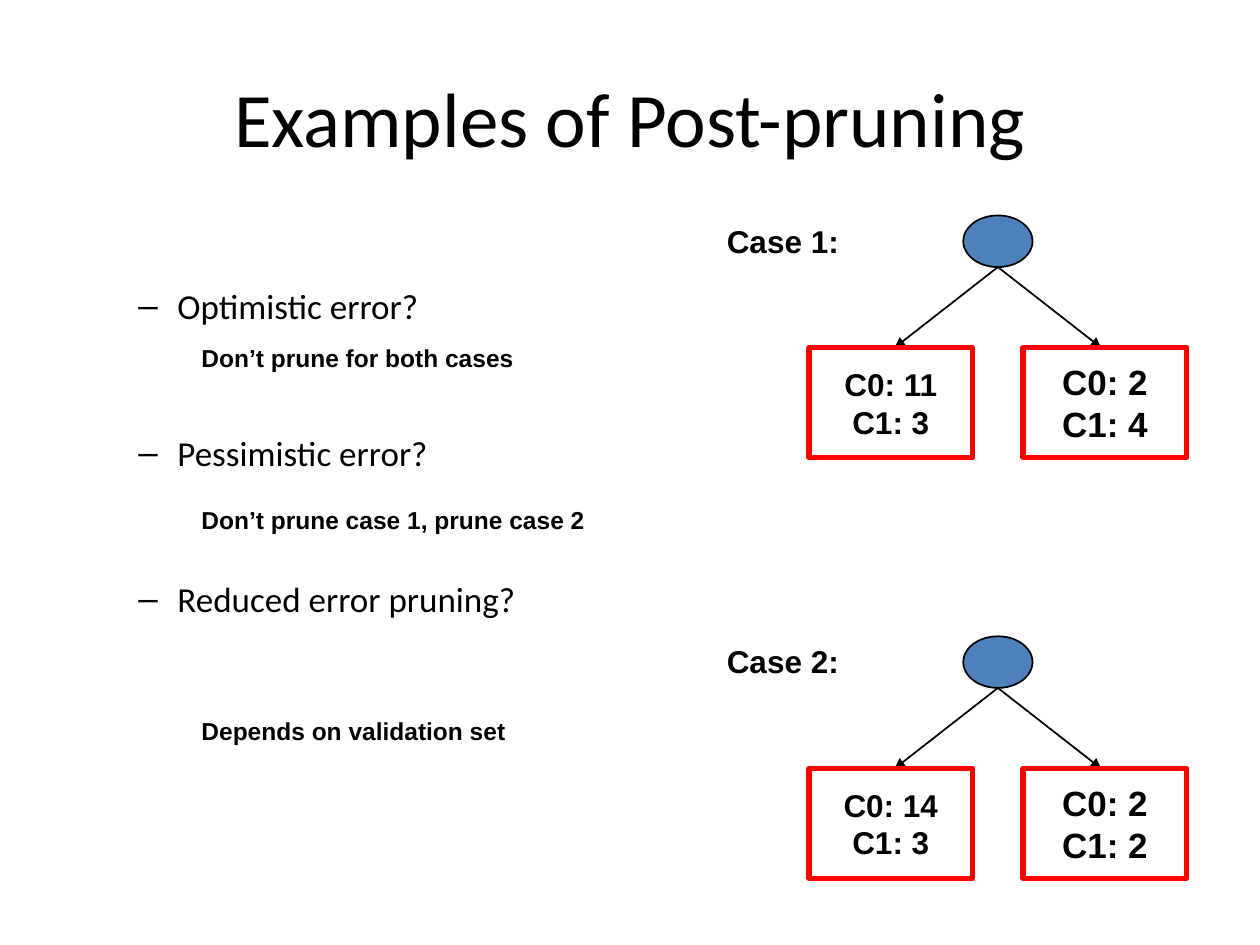
import pptx
import pptx.util
import pptx.dml.color
import pptx.enum.shapes
import pptx.enum.text
import pptx.oxml.ns
from lxml import etree

Inches, Pt = pptx.util.Inches, pptx.util.Pt
RGB = pptx.dml.color.RGBColor.from_string
SHAPE = pptx.enum.shapes.MSO_SHAPE
ALIGN = pptx.enum.text.PP_ALIGN
ANCHOR = pptx.enum.text.MSO_ANCHOR
qn = pptx.oxml.ns.qn

TITLE = "Examples of Post-pruning"
QUESTIONS = ["Optimistic error?", "Pessimistic error?", "Reduced error pruning?"]
ANSWERS = [  # text, top, width
    ("Don’t prune for both cases", 2.67, 3.08),
    ("Don’t prune case 1, prune case 2", 3.96, 3.58),
    ("Depends on validation set", 5.63, 3.58),
]
CASES = [  # label, left leaf, right leaf
    ("Case 1:", ["C0: 11", "C1: 3"], ["C0: 2", "C1: 4"]),
    ("Case 2:", ["C0: 14", "C1: 3"], ["C0: 2", "C1: 2"]),
]

THEME = {
    "text": "000000", "line": "000000", "node": "4F81BD", "leaf": "FF0000",
    "title": {"name": "Calibri", "size": Pt(44)},
    "question": {"name": "Calibri", "size": Pt(20)},
    "answer": {"name": "Arial", "size": Pt(14), "bold": True},
    "case": {"name": "Arial", "size": Pt(18), "bold": True},
    "leaf_left": {"name": "Arial", "size": Pt(18), "bold": True},
    "leaf_right": {"name": "Arial", "size": Pt(20), "bold": True},
}

CASE_TOP, CASE_STEP = 1.71, 3.34
NODE_W, NODE_H = 0.55, 0.41
LEAF_W, LEAF_H, LEAF_DROP = 1.3, 0.87, 1.05
ROOT_X = 7.92
ARROW_SPREAD = 0.82
LEAF_LEFTS = (6.42, 8.12)
QUESTION_GAP = Pt(59.6)


def write(tf, lines, style, align=ALIGN.LEFT):
    for i, line in enumerate(lines):
        p = tf.paragraphs[0] if i == 0 else tf.add_paragraph()
        p.alignment = align
        r = p.add_run()
        r.text = line
        for key, value in THEME[style].items():
            setattr(r.font, key, value)
        r.font.color.rgb = RGB(THEME["text"])


def add_text(slide, box, lines, style, **kwargs):
    tf = slide.shapes.add_textbox(*map(Inches, box)).text_frame
    tf.word_wrap = True
    write(tf, lines, style, **kwargs)
    return tf


def add_outlined(shapes, kind, box, line, width, fill=None):
    s = shapes.add_shape(kind, *map(Inches, box))
    s.shadow.inherit = False
    if fill:
        s.fill.solid()
        s.fill.fore_color.rgb = RGB(fill)
    else:
        s.fill.background()
    s.line.color.rgb = RGB(line)
    s.line.width = Pt(width)
    return s


def add_arrow(shapes, x1, y1, x2, y2):
    c = shapes.add_connector(pptx.enum.shapes.MSO_CONNECTOR.STRAIGHT,
                             *map(Inches, (x1, y1, x2, y2)))
    c.line.color.rgb = RGB(THEME["line"])
    c.line.width = Pt(1)
    etree.SubElement(c.line._get_or_add_ln(), qn("a:tailEnd"), type="triangle")
    etree.SubElement(c._element.spPr, qn("a:effectLst"))


def add_tree(slide, top, leaves):
    """Draw a root node with arrows to two leaf boxes, as one group."""
    shapes = slide.shapes.add_group_shape().shapes
    add_outlined(shapes, SHAPE.OVAL, (ROOT_X - NODE_W / 2, top, NODE_W, NODE_H),
                 THEME["line"], 1, THEME["node"])
    leaf_top = top + LEAF_DROP
    for side in (-1, 1):
        add_arrow(shapes, ROOT_X, top + NODE_H,
                  ROOT_X + side * ARROW_SPREAD, leaf_top)
    for left, lines, style in zip(LEAF_LEFTS, leaves, ("leaf_left", "leaf_right")):
        s = add_outlined(shapes, SHAPE.RECTANGLE, (left, leaf_top, LEAF_W, LEAF_H),
                         THEME["leaf"], 3)
        tf = s.text_frame
        tf.word_wrap = False
        tf.vertical_anchor = ANCHOR.MIDDLE
        write(tf, lines, style, ALIGN.CENTER)


def add_dash(p):
    pPr = p._p.get_or_add_pPr()
    pPr.set("marL", str(Inches(0.81)))
    pPr.set("indent", str(Inches(-0.31)))
    etree.SubElement(pPr, qn("a:buFont"), typeface="Arial")
    etree.SubElement(pPr, qn("a:buChar"), char="–")


def main():
    prs = pptx.Presentation()
    prs.slide_width, prs.slide_height = Inches(10), Inches(7.5)
    slide = prs.slides.add_slide(prs.slide_layouts[6])

    tf = add_text(slide, (0.5, 0.3, 9, 1.25), [TITLE], "title", align=ALIGN.CENTER)
    tf.vertical_anchor = ANCHOR.MIDDLE

    tf = add_text(slide, (0.5, 2.21, 5, 4.95), QUESTIONS, "question")
    for i, p in enumerate(tf.paragraphs):
        add_dash(p)
        if i:
            p.space_before = QUESTION_GAP

    for text, top, width in ANSWERS:
        add_text(slide, (1.5, top, width, 0.33), [text], "answer")

    for i, (label, *leaves) in enumerate(CASES):
        top = CASE_TOP + i * CASE_STEP
        add_text(slide, (5.67, top, 1.33, 0.4), [label], "case")
        add_tree(slide, top, leaves)

    prs.save("out.pptx")


if __name__ == "__main__":
    main()
